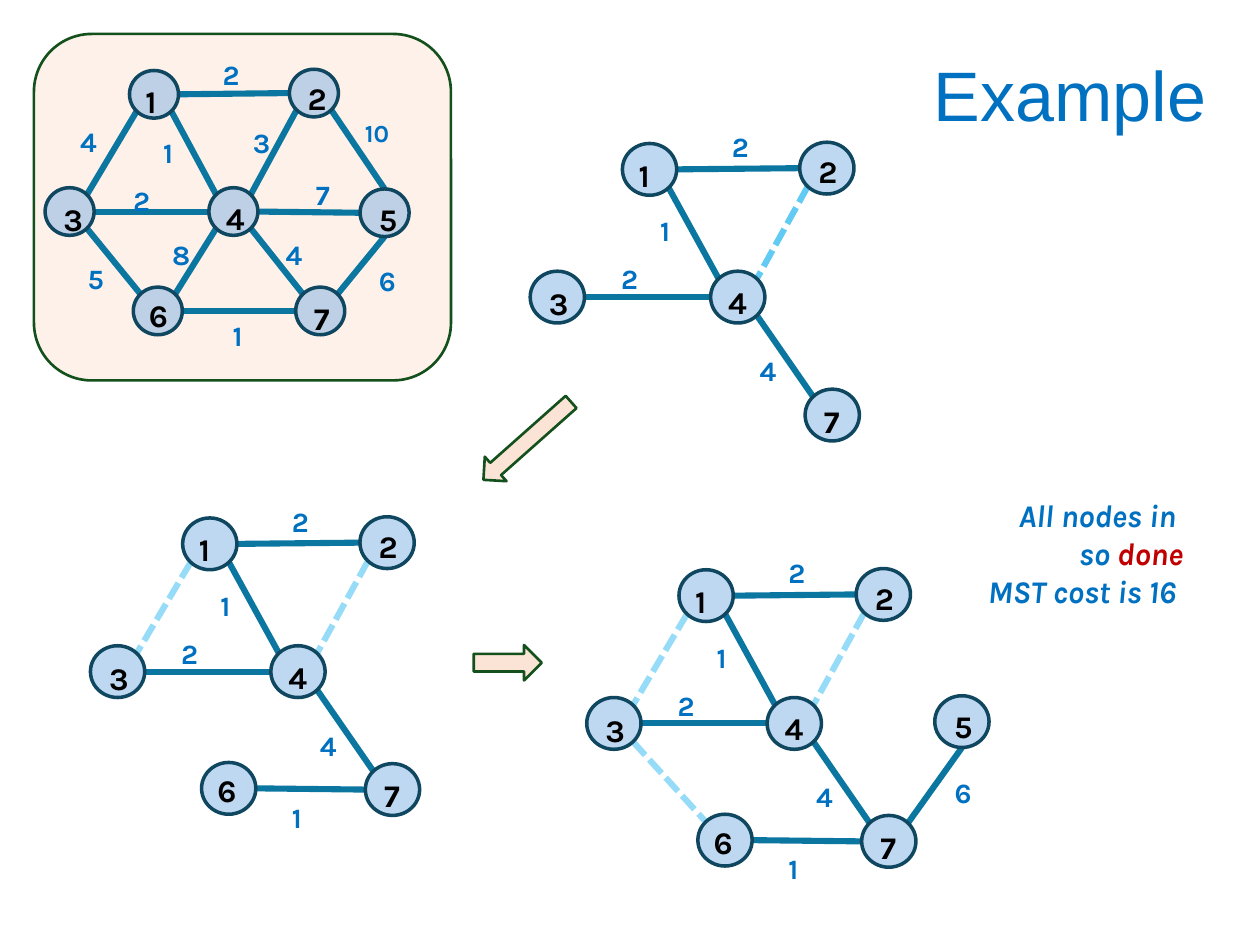
import dataclasses
import enum
import typing

import lxml.etree
import pptx
import pptx.dml.color
import pptx.enum.dml
import pptx.enum.shapes
import pptx.enum.text
import pptx.oxml.ns
import pptx.util

Pt = pptx.util.Pt
Point = tuple[float, float]
Frame = tuple[float, float, float, float]
Shapes = pptx.enum.shapes.MSO_SHAPE
Align = pptx.enum.text.PP_ALIGN


@dataclasses.dataclass(frozen=True)
class Theme:
    text: str = "0070C0"
    accent: str = "C00000"
    digit: str = "000000"
    node_fill: str = "71AAE0"
    node_line: str = "104760"
    edge: str = "0B76A0"
    rejected: str = "96DCF8"
    rejected_first: str = "61CBF4"
    panel_fill: str = "FBE3D6"
    panel_line: str = "13501B"
    title_font: str = "Arial"
    body_font: str = "Karla"
    title_size: float = 40
    body_size: float = 18
    weight_size: float = 16
    small_size: float = 14


THEME = Theme()


class Site(enum.Enum):
    TOP = (0.5, 0)
    BOTTOM = (0.5, 1)
    LEFT = (0, 0.5)
    RIGHT = (1, 0.5)
    TOP_LEFT = (0.15, 0.15)
    TOP_RIGHT = (0.85, 0.15)
    BOTTOM_LEFT = (0.15, 0.85)
    BOTTOM_RIGHT = (0.85, 0.85)


class Edge(typing.NamedTuple):
    start_site: Site
    end_site: Site
    weight: int


class Span(typing.NamedTuple):
    text: str
    color: str = THEME.text


@dataclasses.dataclass(frozen=True)
class Layout:
    node_size: Point
    weight_size: Point
    label_scale: float
    nodes: dict[str, Point]
    weights: dict[str, Point]


@dataclasses.dataclass(frozen=True)
class Graph:
    layout: Layout
    origin: Point
    nodes: str
    edges: list[str]
    rejected: list[str] = dataclasses.field(default_factory=list)
    rejected_color: str = THEME.rejected


EDGES = {
    "12": Edge(Site.RIGHT, Site.LEFT, 2),
    "13": Edge(Site.BOTTOM_LEFT, Site.TOP_RIGHT, 4),
    "14": Edge(Site.BOTTOM_RIGHT, Site.TOP_LEFT, 1),
    "24": Edge(Site.BOTTOM_LEFT, Site.TOP_RIGHT, 3),
    "25": Edge(Site.BOTTOM_RIGHT, Site.TOP, 10),
    "34": Edge(Site.RIGHT, Site.LEFT, 2),
    "36": Edge(Site.BOTTOM_RIGHT, Site.TOP_LEFT, 5),
    "45": Edge(Site.RIGHT, Site.LEFT, 7),
    "46": Edge(Site.BOTTOM_LEFT, Site.TOP_RIGHT, 8),
    "47": Edge(Site.BOTTOM_RIGHT, Site.TOP_LEFT, 4),
    "57": Edge(Site.BOTTOM, Site.TOP_RIGHT, 6),
    "67": Edge(Site.RIGHT, Site.LEFT, 1),
}

DIGIT_FRAMES: dict[str, Frame] = {
    "1": (2.2, 3.6, 26.6, 21), "2": (3.6, 2.2, 26.6, 21), "3": (3.6, 4, 28, 21),
    "4": (2.9, 3.2, 17.3, 21), "5": (4, 2.9, 23.8, 21), "6": (2, 1.6, 28, 21),
    "7": (3.6, 3.6, 23.8, 21),
}

INPUT_LAYOUT = Layout(
    (28, 27.2), (24.5, 21.6), 0.91,
    {"1": (0, 0), "2": (91.4, -0.7), "3": (-48.2, 67), "4": (45.4, 67),
     "5": (131.8, 67.7), "6": (2.2, 123.8), "7": (95, 123.8)},
    {"12": (46.1, -10.8), "13": (-35.3, 27.4), "14": (12.2, 33.8),
     "24": (63.4, 28.1), "25": (127.4, 23.8), "34": (-5, 61.2),
     "36": (-31, 105.8), "45": (99.4, 57.6), "46": (17.3, 92.2),
     "47": (82.1, 92.2), "57": (135.4, 106.6), "67": (51.8, 138.2)})

TREE_LAYOUT = Layout(
    (31, 29.6), (26.6, 26.6), 1,
    {"1": (0, 0), "2": (101.3, -0.7), "3": (-52.7, 73), "4": (50.4, 73),
     "5": (146.2, 72), "6": (10.8, 139.7), "7": (104.4, 140.4)},
    {"12": (55.4, -11.5), "14": (14.4, 36.7), "34": (-7.9, 64.1),
     "47": (71.3, 116.6), "57": (150.5, 113.8), "67": (55.4, 157.7)})

FIRST_TREE = ["12", "14", "34", "47"]
GRAPHS = [
    Graph(TREE_LAYOUT, (355.7, 82), "12347", FIRST_TREE, ["24"], THEME.rejected_first),
    Graph(TREE_LAYOUT, (104.4, 296), "123467", FIRST_TREE + ["67"], ["24", "13"]),
    Graph(TREE_LAYOUT, (388, 325.6), "1234567", FIRST_TREE + ["67", "57"],
          ["24", "13", "36"]),
    Graph(INPUT_LAYOUT, (74, 40.3), "1234567", list(EDGES)),
]


def rgb(color: str) -> pptx.dml.color.RGBColor:
    return pptx.dml.color.RGBColor.from_string(color)


def add_text(page, frame: Frame, lines: list[list[Span]], size: float,
             font: str = THEME.body_font, bold: bool = True, italic: bool = False,
             align=Align.LEFT, space_after: float = 0):
    box = page.shapes.add_textbox(*map(Pt, frame))
    text_frame = box.text_frame
    text_frame.word_wrap = True
    text_frame.auto_size = pptx.enum.text.MSO_AUTO_SIZE.SHAPE_TO_FIT_TEXT
    for index, line in enumerate(lines):
        para = text_frame.add_paragraph() if index else text_frame.paragraphs[0]
        para.alignment = align
        para.space_after = Pt(space_after)
        for part in line:
            span = para.add_run()
            span.text = part.text
            span.font.name = font
            span.font.size = Pt(size)
            span.font.bold = bold
            span.font.italic = italic
            span.font.color.rgb = rgb(part.color)
    return text_frame


def add_shape(page, kind, frame: Frame, fill: str, line: str, width: float,
              opacity: int = 100, rotation: float = 0) -> None:
    shape = page.shapes.add_shape(kind, *map(Pt, frame))
    shape.shadow.inherit = False
    shape.rotation = rotation
    shape.fill.solid()
    shape.fill.fore_color.rgb = rgb(fill)
    shape.line.color.rgb = rgb(line)
    shape.line.width = Pt(width)
    qn = pptx.oxml.ns.qn
    color = shape._element.spPr.find(qn("a:solidFill")).find(qn("a:srgbClr"))
    lxml.etree.SubElement(color, qn("a:alpha"), val=str(opacity * 1000))


def add_edge(page, graph: Graph, key: str, color: str, dashed: bool) -> None:
    edge = EDGES[key]
    ends = []
    for node, site in zip(key, (edge.start_site, edge.end_site)):
        for axis in range(2):
            ends.append(graph.origin[axis] + graph.layout.nodes[node][axis]
                        + site.value[axis] * graph.layout.node_size[axis])
    line = page.shapes.add_connector(
        pptx.enum.shapes.MSO_CONNECTOR.STRAIGHT, *map(Pt, ends))
    line.line.color.rgb = rgb(color)
    line.line.width = Pt(3.5)
    if dashed:
        line.line.dash_style = pptx.enum.dml.MSO_LINE.SQUARE_DOT
    lxml.etree.SubElement(line._element.spPr, pptx.oxml.ns.qn("a:effectLst"))


def add_graph(page, graph: Graph) -> None:
    layout = graph.layout
    left, top = graph.origin
    for key in graph.edges:
        add_edge(page, graph, key, THEME.edge, False)
    for key in graph.rejected:
        add_edge(page, graph, key, graph.rejected_color, True)
    for node in graph.nodes:
        x, y = left + layout.nodes[node][0], top + layout.nodes[node][1]
        add_shape(page, Shapes.OVAL, (x, y, *layout.node_size),
                  THEME.node_fill, THEME.node_line, 2, 45)
        dx, dy, width, height = (layout.label_scale * part for part in DIGIT_FRAMES[node])
        add_text(page, (x + dx, y + dy, width, height),
                 [[Span(node, THEME.digit)]], THEME.body_size, space_after=6)
    for key in graph.edges:
        x, y = layout.weights[key]
        width, height = layout.weight_size
        text = str(EDGES[key].weight)
        wide = len(text) > 1
        add_text(page, (left + x, top + y, width * 1.5 if wide else width, height),
                 [[Span(text)]], THEME.small_size if wide else THEME.weight_size,
                 space_after=6)


def main() -> None:
    deck = pptx.Presentation()
    deck.slide_width, deck.slide_height = Pt(720), Pt(540)
    page = deck.slides.add_slide(deck.slide_layouts[6])

    title = add_text(page, (475.9, 14.4, 220.3, 84.2), [[Span("Example")]],
                     THEME.title_size, THEME.title_font, bold=False, align=Align.RIGHT)
    title.auto_size = pptx.enum.text.MSO_AUTO_SIZE.NONE
    title.vertical_anchor = pptx.enum.text.MSO_ANCHOR.MIDDLE
    title.paragraphs[0].line_spacing = 0.9

    for frame, rotation in (((267.8, 242.6, 67, 18.7), 138.4),
                            ((270.7, 368.6, 38.9, 20.2), 0)):
        add_shape(page, Shapes.RIGHT_ARROW, frame, THEME.panel_fill,
                  THEME.panel_line, 1.5, rotation=rotation)
    add_text(page, (514, 280, 169.2, 72.7),
             [[Span("All nodes in ")], [Span("so "), Span("done", THEME.accent)],
              [Span("MST cost is 16 ")]],
             THEME.body_size, italic=True, align=Align.RIGHT)
    add_shape(page, Shapes.ROUNDED_RECTANGLE, (19.4, 19.4, 238.3, 198),
              THEME.panel_fill, THEME.panel_line, 1.5, 49)
    for graph in GRAPHS:
        add_graph(page, graph)
    deck.save("out.pptx")


if __name__ == "__main__":
    main()
